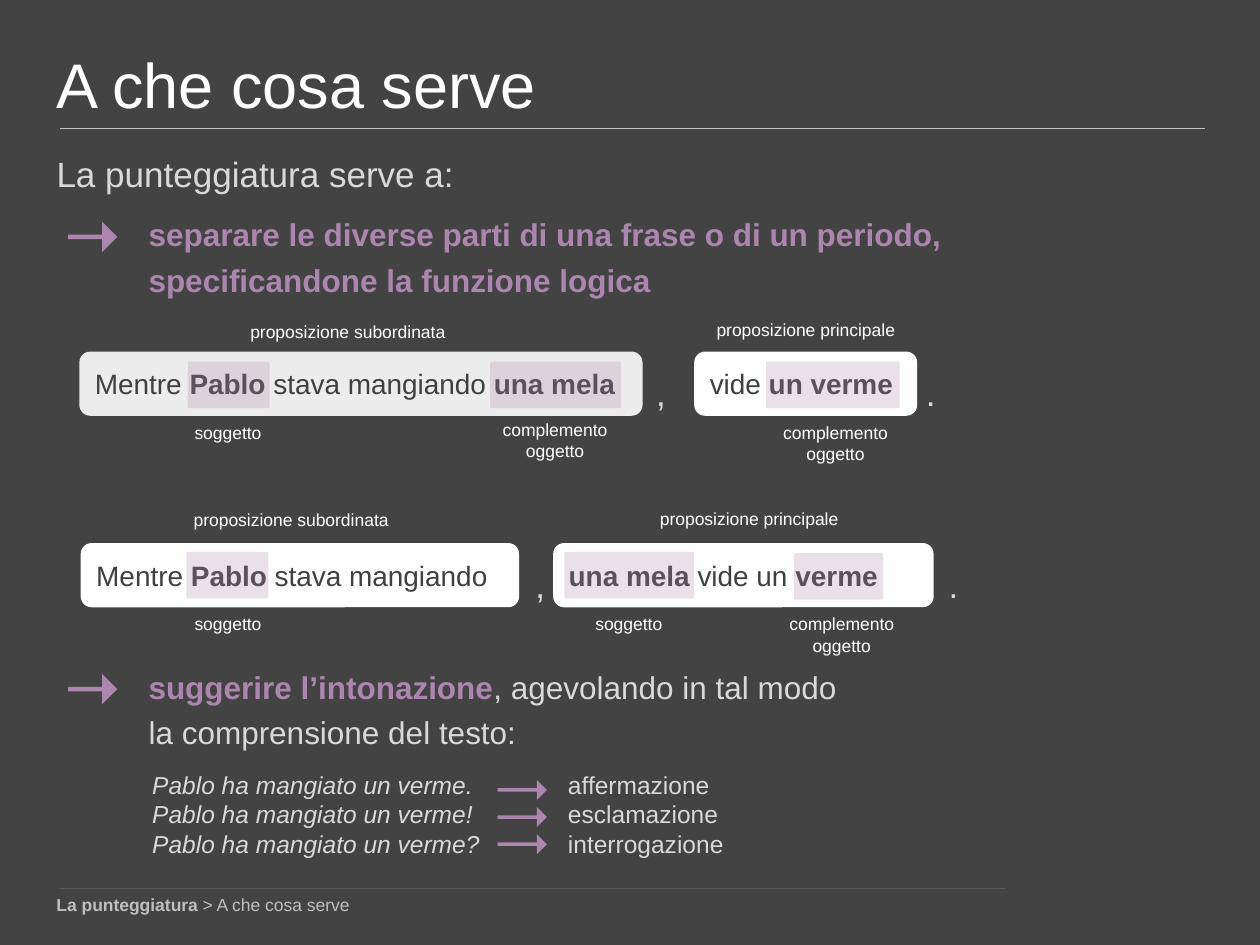
from lxml import etree
from pptx import Presentation, util as u
from pptx.dml import color
from pptx.enum import shapes, text
from pptx.oxml import ns

COLORS = {
    "background": "434343", "white": "FFFFFF", "pale": "ECECEC", "body": "D9D9D9",
    "muted": "BFBFBF", "rule": "595959", "dark": "404040", "accent": "AC86AF",
}


def rgb(name):
    return color.RGBColor.from_string(COLORS[name])


class SlideBuilder:
    """Holds the deck style and the slide being drawn."""

    font_name = "Arial"

    def __init__(self, presentation):
        self.slide = presentation.slides.add_slide(presentation.slide_layouts[6])
        fill = self.slide.background.fill
        fill.solid()
        fill.fore_color.rgb = rgb("background")

    def fill_frame(self, frame, content, size, hue, emphasis="bold", accent=None,
                   spacing=None, indent=0, tab=None, align=text.PP_ALIGN.LEFT):
        """Add paragraphs in which asterisks enclose emphasised runs."""
        frame.word_wrap = True
        for index, line in enumerate(content.split("\n")):
            paragraph = frame.paragraphs[0] if index == 0 else frame.add_paragraph()
            paragraph.alignment = align
            paragraph.line_spacing = spacing
            font = paragraph.font
            font.name, font.size = self.font_name, u.Pt(size)
            font.color.rgb = rgb(hue)
            properties = paragraph._p.get_or_add_pPr()
            if indent:
                properties.set("marL", str(u.Inches(indent)))
                properties.set("indent", "0")
            if tab:
                stops = etree.Element(ns.qn("a:tabLst"))
                etree.SubElement(stops, ns.qn("a:tab"), pos=str(u.Inches(tab)), algn="l")
                properties.find(ns.qn("a:defRPr")).addprevious(stops)
            for position, part in enumerate(line.split("*")):
                if not part:
                    continue
                run = paragraph.add_run()
                run.text = part
                if position % 2:
                    if emphasis == "italic":
                        run.font.italic = True
                    else:
                        run.font.bold = True
                    if accent:
                        run.font.color.rgb = rgb(accent)

    def text(self, left, top, width, height, content, size, hue, **style):
        box = self.slide.shapes.add_textbox(*map(u.Inches, (left, top, width, height)))
        self.fill_frame(box.text_frame, content, size, hue, **style)

    def label(self, left, top, width, content):
        height = 0.44 if "\n" in content else 0.27
        self.text(left, top, width, height, content, 10, "white",
                  align=text.PP_ALIGN.CENTER)

    def shape(self, kind, left, top, width, height, hue, adjustments):
        shape = self.slide.shapes.add_shape(
            kind, *map(u.Inches, (left, top, width, height)))
        shape.shadow.inherit = False
        shape.fill.solid()
        shape.fill.fore_color.rgb = rgb(hue)
        shape.line.fill.background()
        for index, value in enumerate(adjustments):
            shape.adjustments[index] = value
        return shape

    def card(self, left, top, width, content, hue="white"):
        card = self.shape(shapes.MSO_SHAPE.ROUNDED_RECTANGLE,
                          left, top, width, 0.51, hue, [0.17])
        card.text_frame.vertical_anchor = text.MSO_ANCHOR.MIDDLE
        self.fill_frame(card.text_frame, content, 16, "dark")

    def highlight(self, left, top, width):
        shape = self.shape(shapes.MSO_SHAPE.ROUNDED_RECTANGLE,
                           left, top, width, 0.37, "accent", [0.04])
        tint = shape._element.spPr.find(".//" + ns.qn("a:srgbClr"))
        etree.SubElement(tint, ns.qn("a:alpha"), val="25000")

    def arrow(self, left, top, height, thickness):
        self.shape(shapes.MSO_SHAPE.RIGHT_ARROW, left, top, 0.39, height,
                   "accent", [thickness, 0.5])

    def rule(self, left, right, top, hue):
        line = self.slide.shapes.add_connector(
            shapes.MSO_CONNECTOR.STRAIGHT, *map(u.Inches, (left, top, right, top)))
        line.line.color.rgb = rgb(hue)
        line.line.width = u.Pt(0.75)
        etree.SubElement(line._element.spPr, ns.qn("a:effectLst"))

    def point(self, top, content):
        self.text(0.14, top, 8.42, 0.82, content, 18, "body",
                  accent="accent", spacing=1.2, indent=0.94)
        self.arrow(0.54, top + 0.16, 0.24, 0.15)

    def mark(self, left, top, sign):
        self.text(left, top, 0.28, 0.44, sign, 20, "body")


def main():
    presentation = Presentation()
    presentation.slide_width, presentation.slide_height = u.Inches(10), u.Inches(7.5)
    builder = SlideBuilder(presentation)

    builder.text(0.35, 0.31, 7.37, 0.7, "A che cosa serve", 36, "white")
    builder.rule(0.48, 9.56, 1.02, "muted")
    builder.text(0.35, 7.05, 6.23, 0.26, "*La punteggiatura *> A che cosa serve", 10, "muted")
    builder.rule(0.48, 7.98, 7.05, "rule")
    builder.text(0.35, 1.13, 3.38, 0.44, "La punteggiatura serve a:", 20, "body", spacing=1.1)
    builder.point(1.6, "*separare le diverse parti di una frase o di un periodo,*\n"
                       "*specificandone la funzione logica*")
    builder.point(5.19, "*suggerire l’intonazione*, agevolando in tal modo\n"
                        "la comprensione del testo:")

    builder.card(0.63, 2.79, 4.47, "Mentre *Pablo* stava mangiando *una mela*", "pale")
    builder.card(5.51, 2.79, 1.77, "vide *un verme*")
    builder.card(0.64, 4.31, 3.48, "Mentre *Pablo* stava mangiando")
    builder.card(4.39, 4.31, 3.02, "*una mela* vide un *verme*")

    for left, top, width in [(1.49, 2.87, 0.65), (3.89, 2.87, 1.04), (6.08, 2.87, 1.06),
                             (1.48, 4.38, 0.65), (4.48, 4.38, 1.03), (6.3, 4.39, 0.71)]:
        builder.highlight(left, top, width)

    for left, top, sign in [(5.11, 2.9, ","), (7.25, 2.9, "."),
                            (4.15, 4.42, ","), (7.43, 4.42, ".")]:
        builder.mark(left, top, sign)

    subordinate, main_clause = "proposizione subordinata", "proposizione principale"
    subject, direct_object = "soggetto", "complemento\noggetto"
    for left, top, width, content in [
        (1.88, 2.5, 1.76, subordinate), (5.58, 2.48, 1.63, main_clause),
        (1.43, 3.3, 0.76, subject), (3.6, 3.28, 1.61, direct_object),
        (6.04, 3.3, 1.18, direct_object),
        (1.43, 3.99, 1.76, subordinate), (5.13, 3.98, 1.63, main_clause),
        (1.43, 4.82, 0.76, subject), (4.58, 4.82, 0.82, subject),
        (6.1, 4.82, 1.16, direct_object),
    ]:
        builder.label(left, top, width, content)

    tones = {".": "affermazione", "!": "esclamazione", "?": "interrogazione"}
    examples = "\n".join(f"*Pablo ha mangiato un verme{sign}*\t{tone}"
                         for sign, tone in tones.items())
    builder.text(1.11, 6.06, 5.7, 0.81, examples, 14, "body", emphasis="italic", tab=3.3)
    for row in range(len(tones)):
        builder.arrow(3.95, 6.19 + row * 0.215, 0.16, 0.17)

    presentation.save("out.pptx")


if __name__ == "__main__":
    main()
